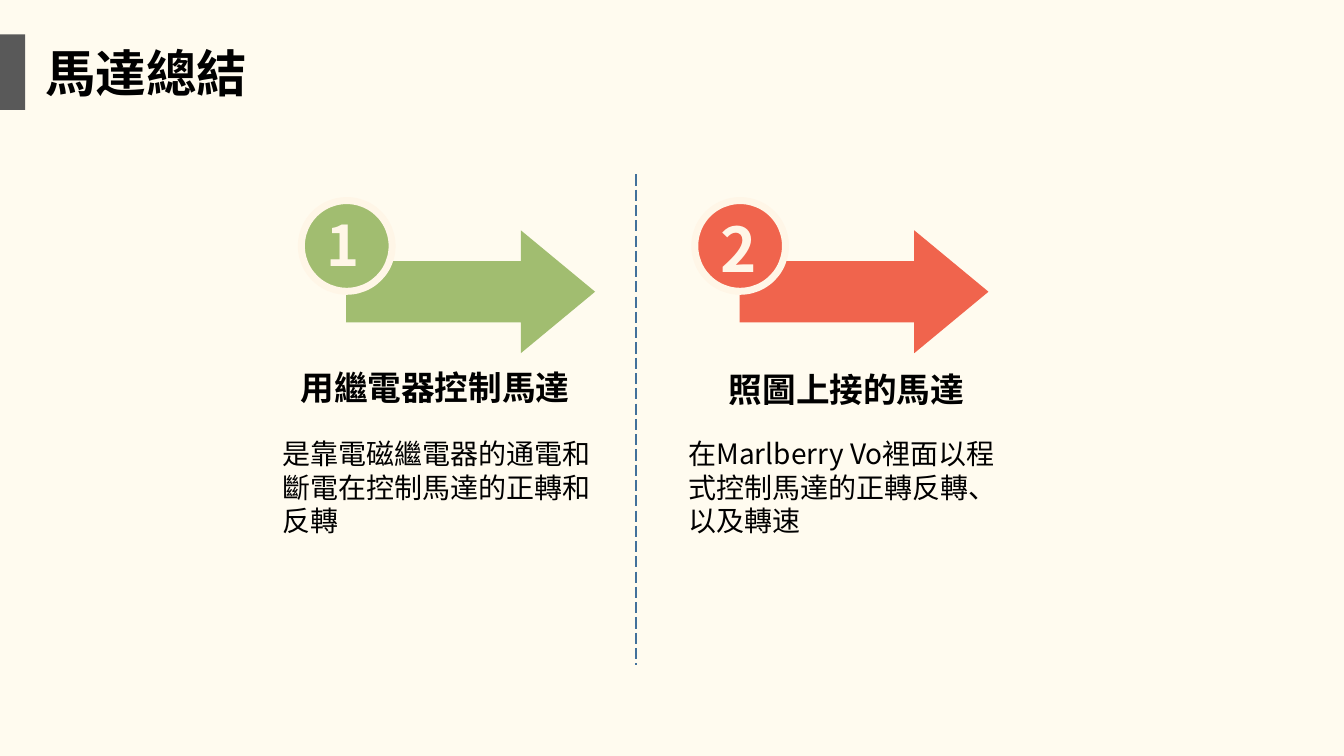
from lxml import etree
from pptx import Presentation
from pptx.dml.color import RGBColor
from pptx.enum.dml import MSO_LINE
from pptx.enum.shapes import MSO_CONNECTOR, MSO_SHAPE
from pptx.oxml.ns import qn
from pptx.util import Pt

RIGHT_ARROW = MSO_SHAPE.RIGHT_ARROW
OVAL = MSO_SHAPE.OVAL
RECTANGLE = MSO_SHAPE.RECTANGLE
STRAIGHT = MSO_CONNECTOR.STRAIGHT
LONG_DASH = MSO_LINE.LONG_DASH

FONT = "Noto Sans CJK SC"
COLORS = {
    "background": "FFFBEF",
    "cream": "FFF6E7",
    "green": "A1BD70",
    "red": "F0644D",
    "divider": "42719B",
    "tab": "595959",
    "text": "000000",
}
MARKER_STEP = 281


def rgb(name):
    return RGBColor.from_string(COLORS[name])


def add_block(shapes, kind, left, top, width, height, color):
    block = shapes.add_shape(kind, Pt(left), Pt(top), Pt(width), Pt(height))
    block.shadow.inherit = False
    block.fill.solid()
    block.fill.fore_color.rgb = rgb(color)
    block.line.fill.background()
    return block


def add_text(shapes, text, left, top, width, height, size,
             color="text", bold=False, indent=7.2, right_inset=7.2):
    frame = shapes.add_textbox(Pt(left), Pt(top), Pt(width), Pt(height)).text_frame
    frame.word_wrap = True
    frame.margin_left = Pt(indent)
    frame.margin_right = Pt(right_inset)
    frame.text = text
    for run in frame.paragraphs[0].runs:
        run.font.name = FONT
        run.font.size = Pt(size)
        run.font.bold = bold
        run.font.color.rgb = rgb(color)
        east_asian = etree.SubElement(run.font._element, qn("a:ea"))
        east_asian.set("typeface", FONT)


def add_marker(slide, left, number, number_size, number_height, color):
    shapes = slide.shapes.add_group_shape().shapes
    arrow = add_block(shapes, RIGHT_ARROW, left + 32, 164.5, 177.8, 87.8, color)
    arrow.adjustments[0] = 0.5
    arrow.adjustments[1] = 0.604
    badge = add_block(shapes, OVAL, left, 143.3, 64.8, 64.8, color)
    badge.line.color.rgb = rgb("cream")
    badge.line.width = Pt(5)
    add_text(shapes, number, left + 11, 146.9, 41.8, number_height,
             number_size, "cream", True)


def add_divider(slide, x, top, bottom):
    divider = slide.shapes.add_connector(STRAIGHT, Pt(x), Pt(top), Pt(x), Pt(bottom))
    divider.line.color.rgb = rgb("divider")
    divider.line.width = Pt(1)
    divider.line.dash_style = LONG_DASH
    etree.SubElement(divider._element.spPr, qn("a:effectLst"))


def add_summary(slide, heading, heading_box, body, body_left):
    shapes = slide.shapes.add_group_shape().shapes
    add_text(shapes, body, body_left, 308.2, 247.7, 79.9, 20)
    add_text(shapes, heading, *heading_box, 36, 24,
             bold=True, indent=34, right_inset=0)


def add_title(slide, title):
    add_block(slide.shapes, RECTANGLE, 0, 24.5, 18, 54, "tab")
    add_text(slide.shapes, title, 25.2, 26.6, 159.8, 51.1, 36,
             bold=True, right_inset=0)


def main():
    deck = Presentation()
    deck.slide_width = Pt(960)
    deck.slide_height = Pt(540)
    slide = deck.slides.add_slide(deck.slide_layouts[6])
    slide.background.fill.solid()
    slide.background.fill.fore_color.rgb = rgb("background")

    markers = [("1", 40, 55.4, "green"), ("2", 44, 60.5, "red")]
    for column, marker in enumerate(markers):
        add_marker(slide, 215.3 + column * MARKER_STEP, *marker)
    add_divider(slide, 454.3, 124.6, 475.2)
    add_summary(slide, "用繼電器控制馬達", (180.7, 258.5, 244.1),
                "是靠電磁繼電器的通電和斷電在控制馬達的正轉和反轉", 194.4)
    add_summary(slide, "照圖上接的馬達", (486.7, 260, 220.3),
                "在Marlberry Vo裡面以程式控制馬達的正轉反轉、以及轉速", 484.6)
    add_title(slide, "馬達總結")
    deck.save("out.pptx")


if __name__ == "__main__":
    main()
